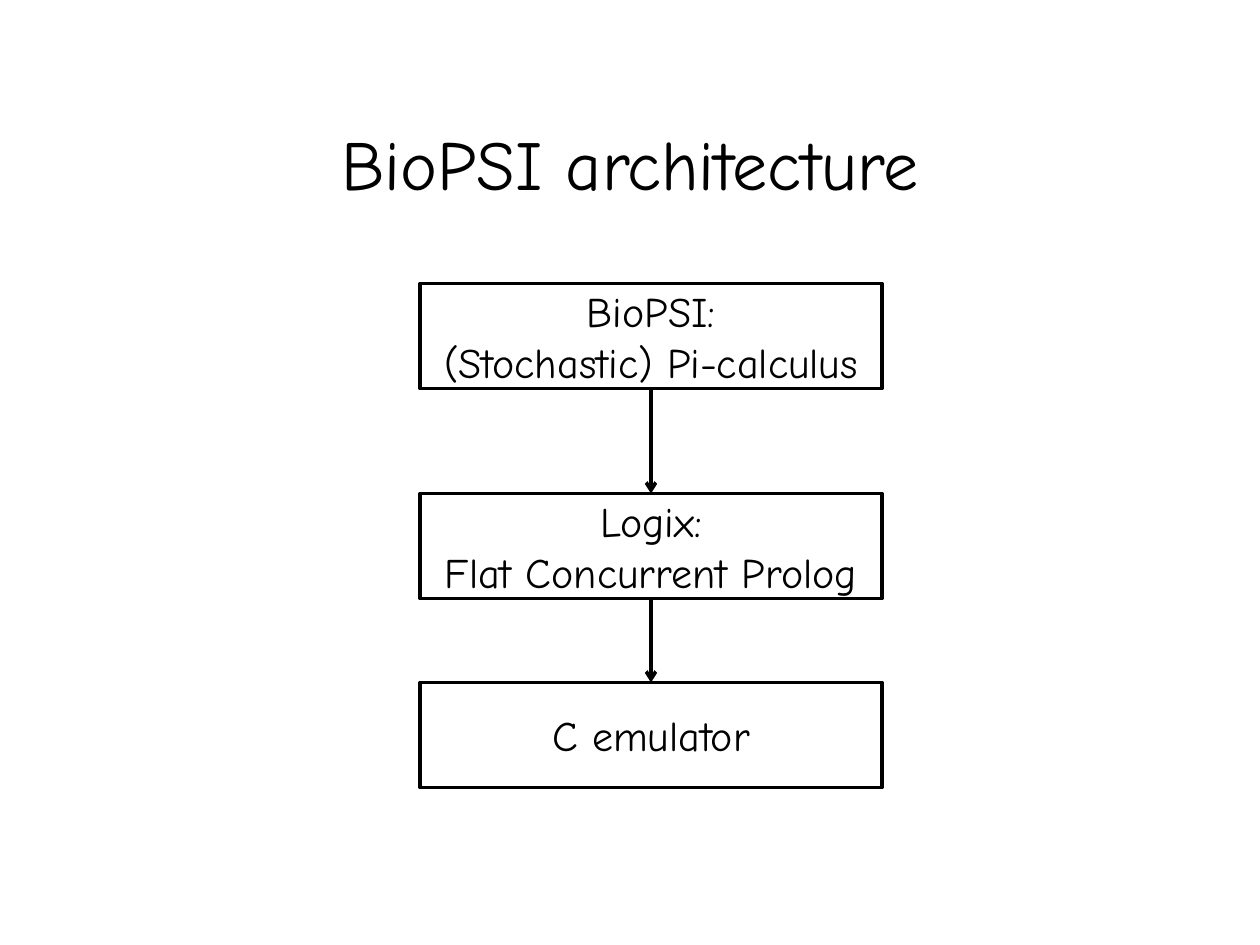
from itertools import pairwise

from lxml import etree
from pptx import Presentation
from pptx.dml.color import RGBColor
from pptx.enum import shapes, text
from pptx.oxml import ns
from pptx.util import Pt

# Content: layers from top to bottom, each with the top of its box
TITLE = "BioPSI architecture"
LAYERS = [
    ("BioPSI:\n(Stochastic) Pi-calculus", 162),
    ("Logix:\nFlat Concurrent Prolog", 282),
    ("C emulator", 390),
]

BLACK = RGBColor(0, 0, 0)
FONT = "Comic Neue"
LAYER_LEFT, LAYER_WIDTH, LAYER_HEIGHT = 240, 264, 60
LINE_WIDTH = 2
BOTTOM, TOP = 2, 0  # connection sites of a rectangle


def write(frame, content, size, wrap=True):
    frame.word_wrap = wrap
    frame.auto_size = text.MSO_AUTO_SIZE.NONE
    frame.vertical_anchor = text.MSO_ANCHOR.MIDDLE
    paragraph = frame.paragraphs[0]
    paragraph.text = content
    paragraph.alignment = text.PP_ALIGN.CENTER
    for run in paragraph.runs:
        run.font.name = FONT
        run.font.size = Pt(size)
        run.font.color.rgb = BLACK


def add_layer(slide, label, top):
    layer = slide.shapes.add_shape(
        shapes.MSO_SHAPE.RECTANGLE,
        Pt(LAYER_LEFT), Pt(top), Pt(LAYER_WIDTH), Pt(LAYER_HEIGHT))
    layer.shadow.inherit = False
    layer.fill.background()
    layer.line.color.rgb = BLACK
    layer.line.width = Pt(LINE_WIDTH)
    write(layer.text_frame, label, size=24, wrap=False)
    return layer


def add_arrow(slide, upper, lower):
    arrow = slide.shapes.add_connector(shapes.MSO_CONNECTOR.STRAIGHT, 0, 0, 0, 0)
    arrow.begin_connect(upper, BOTTOM)
    arrow.end_connect(lower, TOP)
    arrow.line.color.rgb = BLACK
    arrow.line.width = Pt(LINE_WIDTH)
    etree.SubElement(arrow.line._get_or_add_ln(), ns.qn("a:tailEnd"), type="arrow")
    etree.SubElement(arrow._element.spPr, ns.qn("a:effectLst"))


def main():
    deck = Presentation()
    deck.slide_width, deck.slide_height = Pt(720), Pt(540)
    slide = deck.slides.add_slide(deck.slide_layouts.get_by_name("Title Only"))

    # Title
    title = slide.shapes.title
    title.left, title.top, title.width, title.height = Pt(54), Pt(48), Pt(612), Pt(90)
    write(title.text_frame, TITLE, size=40)

    # Layers, each joined to the next
    layers = [add_layer(slide, label, top) for label, top in LAYERS]
    for upper, lower in pairwise(layers):
        add_arrow(slide, upper, lower)

    deck.save("out.pptx")


if __name__ == "__main__":
    main()
